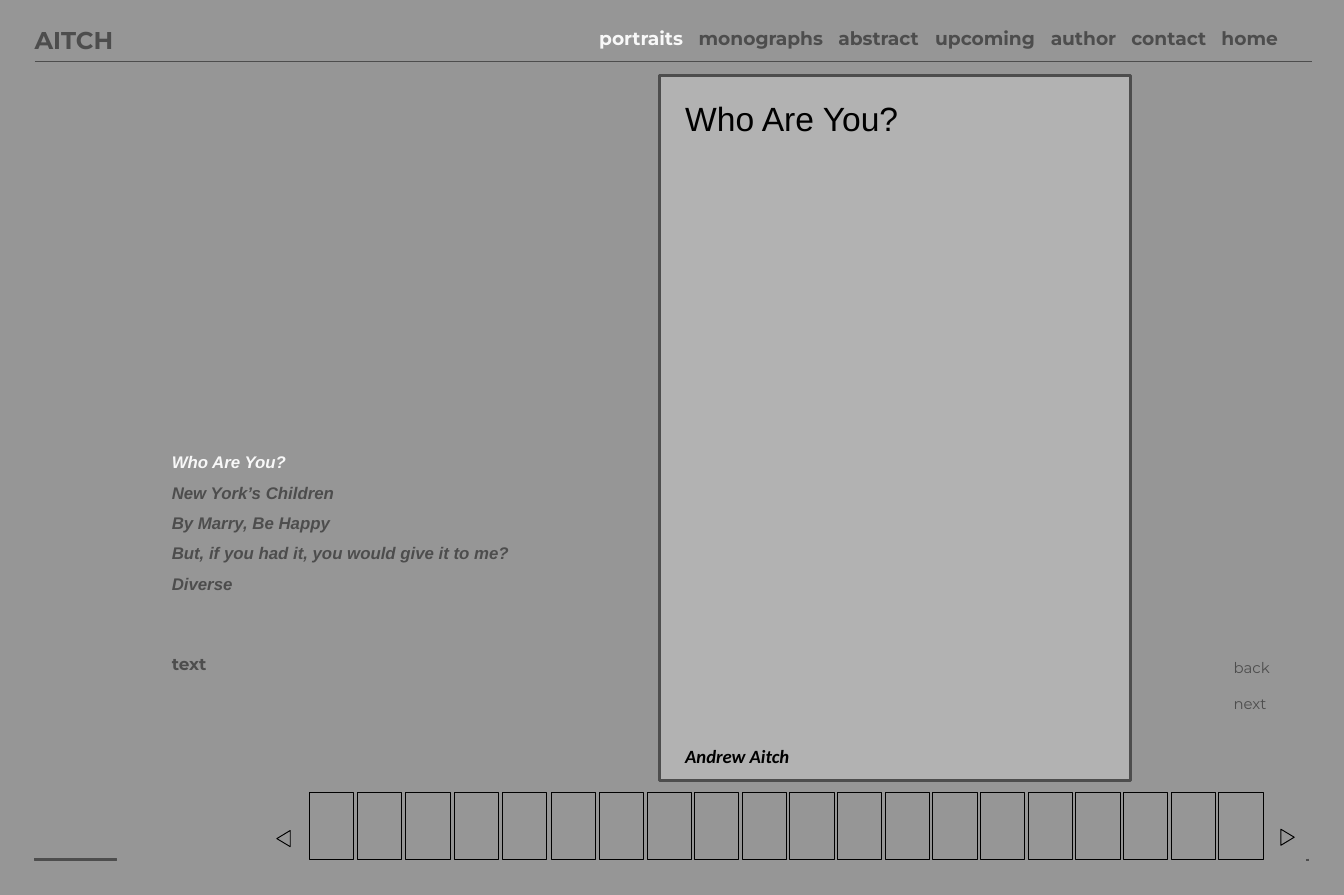
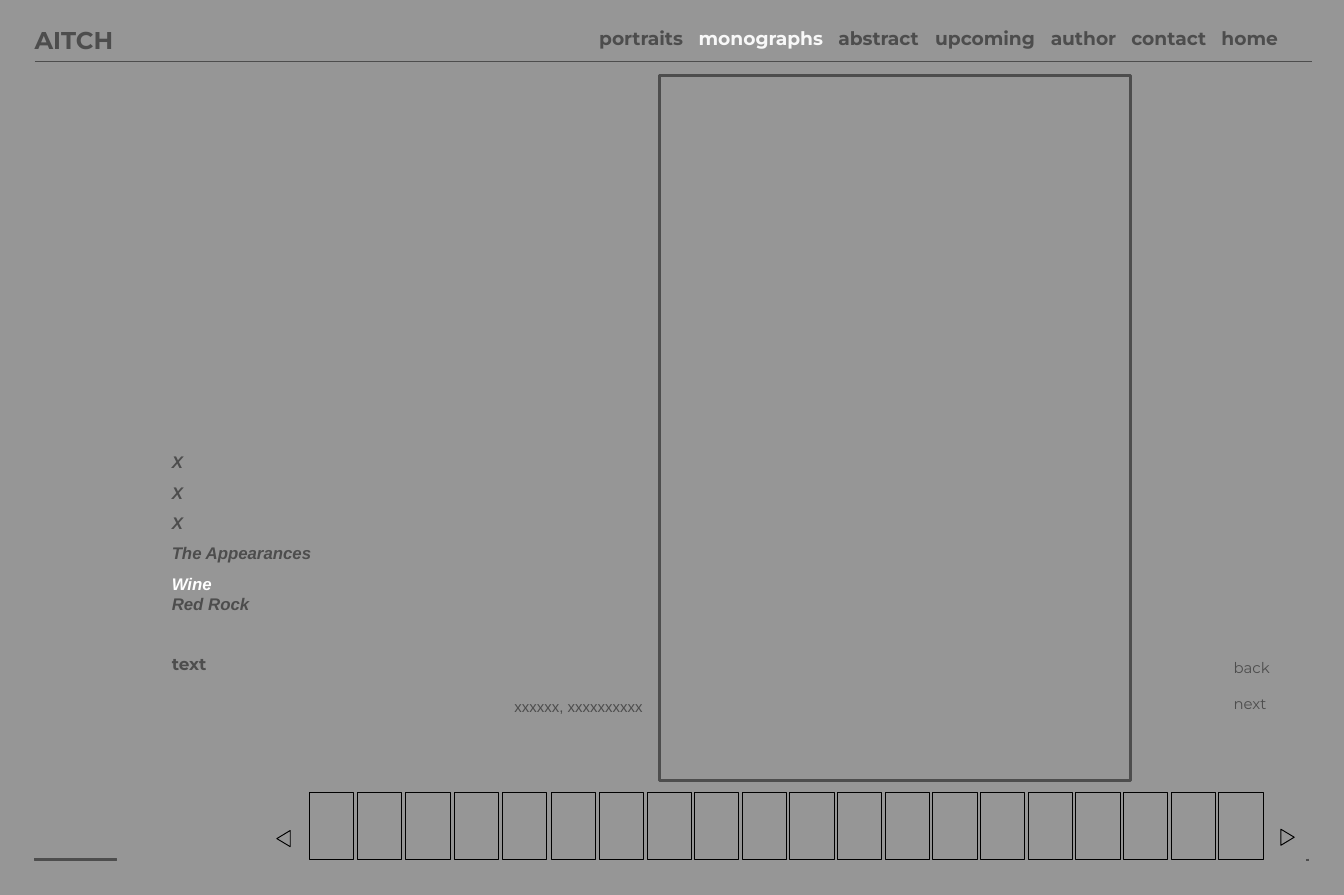
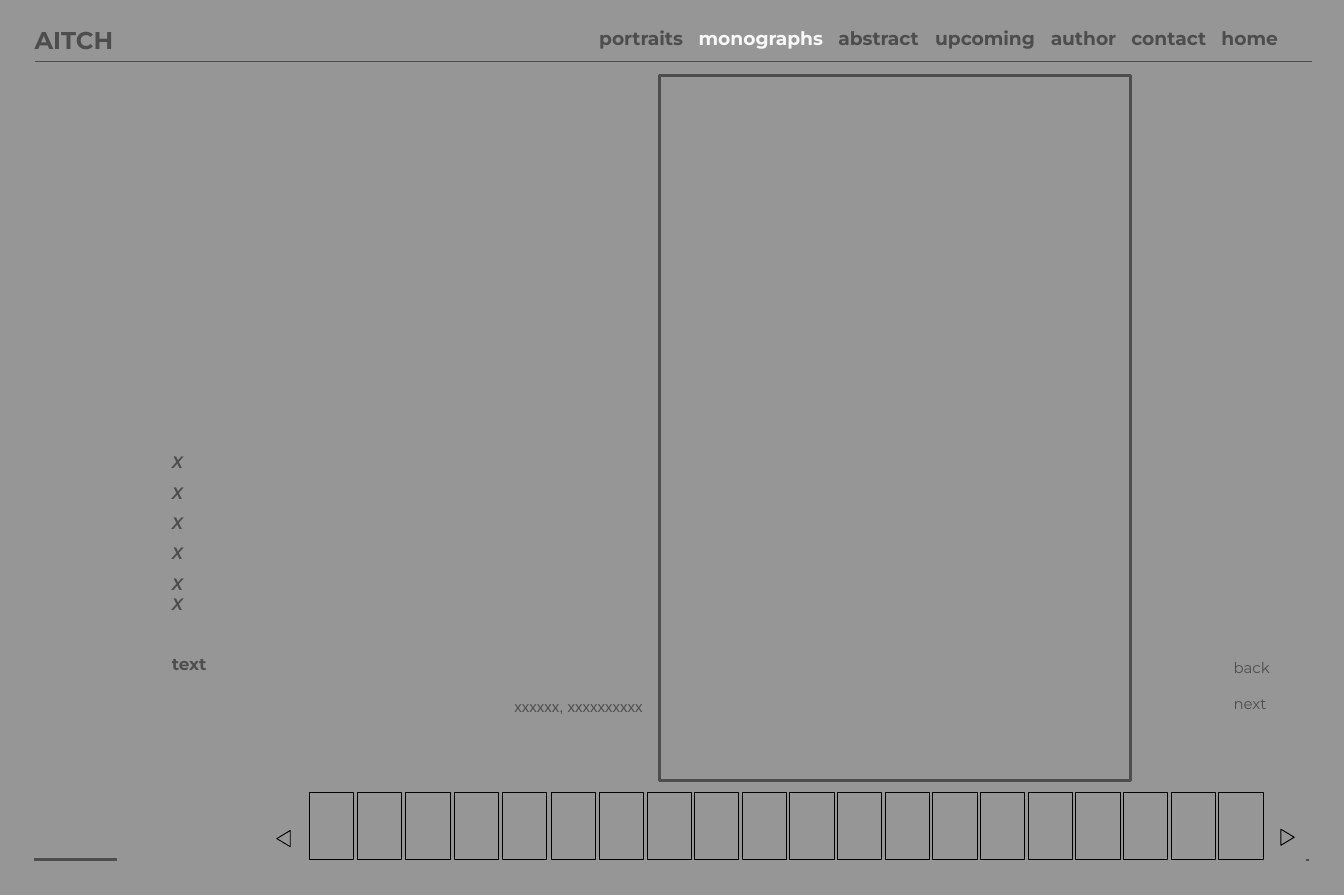
from lxml import etree
from pptx import Presentation
from pptx.dml.color import RGBColor
from pptx.enum.shapes import MSO_CONNECTOR, MSO_SHAPE
from pptx.enum.text import MSO_AUTO_SIZE
from pptx.oxml.ns import qn
from pptx.util import Inches, Pt

COLORS = {
    "background": "969696",
    "panel": "B2B2B2",
    "ink": "4D4D4D",
    "black": "000000",
    "active": "F8F8F8",
    "white": "FFFFFF",
}
HEAD_FONT, BODY_FONT, SIGN_FONT = "Montserrat", "Arial", "Calibri"

BRAND = "AITCH"
# page name and its tab position in inches from the start of the menu text
MENU = [("portraits", 0), ("monographs", 0.74), ("abstract", 1.78),
        ("upcoming", 2.5), ("author", 3.36), ("contact", 3.96), ("home", 4.63)]
PAGER = ["back", "next"]
CAPTION = "xxxxxx, xxxxxxxxxx"

SLIDES = [
    {"page": "portraits",
     "works": ["Who Are You?", "New York’s Children", "By Marry, Be Happy",
               "But, if you had it, you would give it to me?", "Diverse"],
     "selected": "Who Are You?", "highlight": "active",
     "cover": ("Who Are You?", "Andrew Aitch")},
    {"page": "monographs",
     "works": ["X", "X", "X", "The Appearances", "Wine", "Red Rock"],
     "selected": "Wine", "highlight": "white", "caption": CAPTION},
    {"page": "monographs", "works": ["X"] * 6, "caption": CAPTION},
]

PANEL = (4.91, 0.56, 3.5, 5.25)
THUMB_TOP, THUMB_W, THUMB_H = 5.9, 0.33, 0.5
THUMB_STRIPS = [(2.3, 0.36, 6), (4.46, 0.3545, 14)]  # left, pitch, count
ARROWS = [(9.52, 6.18, 90), (2.05, 6.19, 270)]  # left, top, rotation
SPACED_WORKS = 5  # works set at 1.5 lines; later ones are single spaced
WORK_ROWS, ROW_PT = 8, 10.7  # rows above the "text" link


def rgb(name):
    return RGBColor.from_string(COLORS[name])


def add_box(shapes, kind, box, line, width, fill=None):
    sp = shapes.add_shape(kind, *map(Inches, box))
    sp.shadow.inherit = False
    if fill:
        sp.fill.solid()
        sp.fill.fore_color.rgb = rgb(fill)
    else:
        sp.fill.background()
    sp.line.color.rgb = rgb(line)
    sp.line.width = Pt(width)
    return sp


def add_line(s, x1, y1, x2, y2, width):
    cn = s.shapes.add_connector(MSO_CONNECTOR.STRAIGHT, *map(Inches, (x1, y1, x2, y2)))
    cn.line.color.rgb = rgb("ink")
    cn.line.width = Pt(width)
    etree.SubElement(cn.element.spPr, qn("a:effectLst"))


def add_text_frame(s, box, wrap=True):
    tf = s.shapes.add_textbox(*map(Inches, box)).text_frame
    tf.word_wrap = wrap
    if not wrap:
        tf.auto_size = MSO_AUTO_SIZE.SHAPE_TO_FIT_TEXT
    return tf


def next_paragraph(tf, space_before=0):
    """Return the empty first paragraph, or a new one with space before it."""
    if not tf.paragraphs[0].runs:
        return tf.paragraphs[0]
    p = tf.add_paragraph()
    p.space_before = Pt(space_before)
    return p


def add_run(p, text, size, font=HEAD_FONT, color="ink", bold=False, italic=False):
    r = p.add_run()
    r.text = text
    r.font.name, r.font.size = font, Pt(size)
    r.font.bold, r.font.italic = bold, italic
    r.font.color.rgb = rgb(color)


def add_header(s, page):
    tf = add_text_frame(s, (0.16, 0.14, 0.83, 0.32), wrap=False)
    add_run(next_paragraph(tf), BRAND, 13, bold=True)
    add_line(s, 0.26, 0.46, 9.76, 0.46, 0.75)

    p = next_paragraph(add_text_frame(s, (4.36, 0.15, 5.62, 0.28)))
    tabs = etree.SubElement(p._p.get_or_add_pPr(), qn("a:tabLst"))
    for name, x in MENU:
        if x:
            etree.SubElement(tabs, qn("a:tab"), pos=str(Inches(x)), algn="l")
        add_run(p, "\t" + name if x else name, 10, bold=True,
                color="active" if name == page else "ink")


def add_thumbnails(s):
    for left, pitch, count in THUMB_STRIPS:
        group = s.shapes.add_group_shape()
        for i in range(count):
            add_box(group.shapes, MSO_SHAPE.RECTANGLE,
                    (left + i * pitch, THUMB_TOP, THUMB_W, THUMB_H), "black", 0.5)


def add_panel(s, cover):
    add_box(s.shapes, MSO_SHAPE.RECTANGLE, PANEL, "ink", 1.5, "panel" if cover else None)
    if cover:
        title, author = cover
        tf = add_text_frame(s, (5, 0.68, 3.35, 5.12))
        add_run(next_paragraph(tf), title, 18, BODY_FONT, "black")
        add_run(next_paragraph(tf, 325), author, 10, SIGN_FONT, "black", True, True)


def add_footer(s):
    tf = add_text_frame(s, (9.08, 4.85, 0.54, 0.5), wrap=False)
    for name in PAGER:
        add_run(next_paragraph(tf, 9.75), name, 8)
    add_line(s, 9.73, 6.39, 9.73, 6.41, 1.5)
    add_box(s.shapes, MSO_SHAPE.RECTANGLE, (0.26, 6.39, 0.61, 0.01), "ink", 0.5, "ink")
    for left, top, rotation in ARROWS:
        arrow = add_box(s.shapes, MSO_SHAPE.ISOSCELES_TRIANGLE,
                        (left, top, 0.12, 0.1), "black", 0.5)
        arrow.rotation = rotation


def add_works(s, works, selected, highlight):
    tf = add_text_frame(s, (1.18, 3.24, 3.27, 2.42))
    for i, work in enumerate(works):
        p = next_paragraph(tf)
        if i < SPACED_WORKS:
            p.line_spacing = 1.5
        add_run(p, work, 9, BODY_FONT, highlight if work == selected else "ink", True, True)
    add_run(next_paragraph(tf, (WORK_ROWS - len(works)) * ROW_PT), "text", 9, bold=True)


def main():
    prs = Presentation()
    prs.slide_width, prs.slide_height = Inches(10), Inches(6.66)
    fill = prs.slide_master.background.fill
    fill.solid()
    fill.fore_color.rgb = rgb("background")

    for content in SLIDES:
        s = prs.slides.add_slide(prs.slide_layouts[6])
        add_header(s, content["page"])
        add_thumbnails(s)
        add_panel(s, content.get("cover"))
        add_footer(s)
        if "caption" in content:
            tf = add_text_frame(s, (3.73, 5.14, 1.16, 0.24), wrap=False)
            add_run(next_paragraph(tf), content["caption"], 8, BODY_FONT)
        add_works(s, content["works"], content.get("selected"), content.get("highlight"))

    prs.save("out.pptx")


if __name__ == "__main__":
    main()
